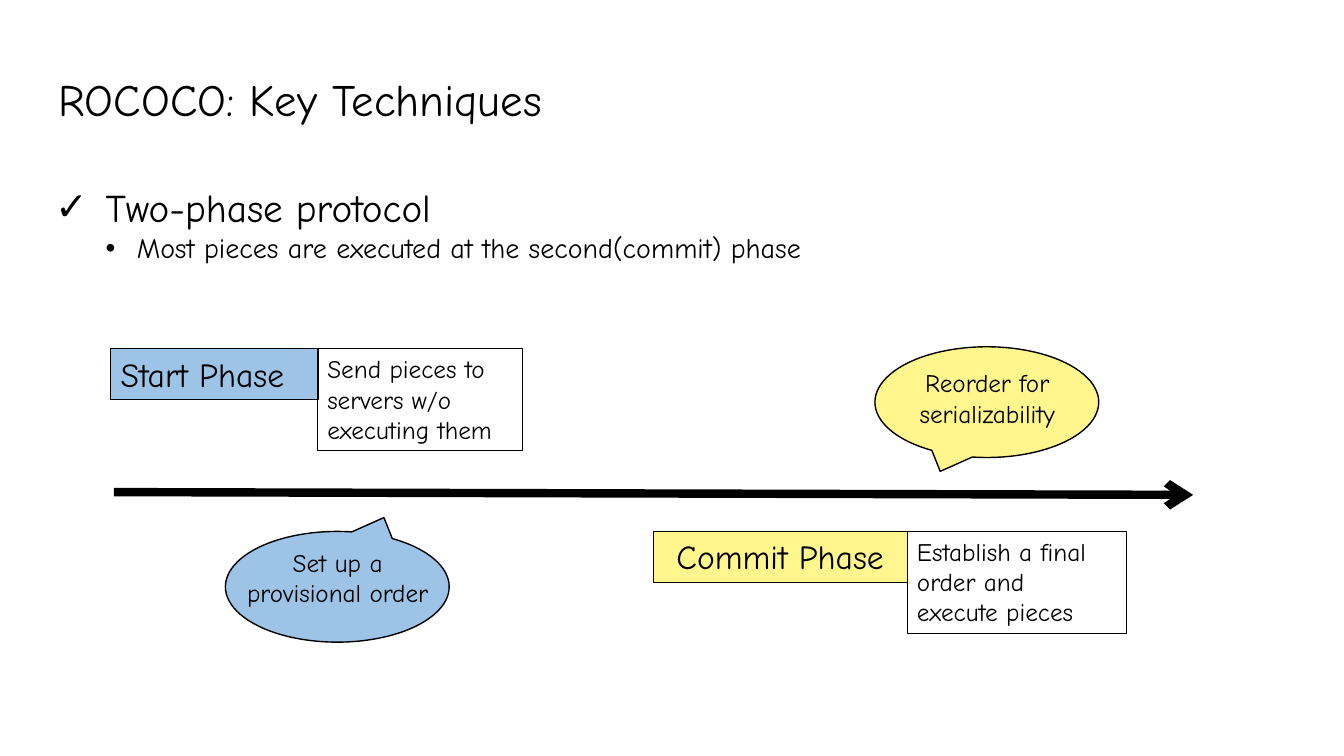
"""Build the ROCOCO key techniques slide with its two-phase timeline."""
from lxml.etree import SubElement
from pptx import Presentation
from pptx.dml.color import RGBColor
from pptx.enum.shapes import MSO_CONNECTOR, MSO_SHAPE
from pptx.enum.text import MSO_ANCHOR, PP_ALIGN
from pptx.oxml.ns import qn
from pptx.util import Cm, Pt

COLORS = {"ink": "000000", "start": "9DC3E6", "commit": "FFF68D"}
FONT = "Comic Neue"


def write(frame, text, size=18, align=PP_ALIGN.LEFT, spacing=None, bullets=None):
    """Fill a frame with one paragraph per line; bullets hold (mark, size, margin, hang)."""
    frame.word_wrap = True
    frame.vertical_anchor = MSO_ANCHOR.TOP
    for index, line in enumerate(text.split("\n")):
        paragraph = frame.paragraphs[0] if index == 0 else frame.add_paragraph()
        paragraph.alignment = align
        if spacing:
            paragraph.line_spacing = spacing
        if bullets:
            mark, size, margin, hang = bullets[index]
            paragraph.level = index
            properties = paragraph._p.get_or_add_pPr()
            properties.set("marL", str(Cm(margin)))
            properties.set("indent", str(-Cm(hang)))
            SubElement(properties, qn("a:buFont")).set("typeface", "Arial")
            SubElement(properties, qn("a:buChar")).set("char", mark)
        run = paragraph.add_run()
        run.text = line
        run.font.name = FONT
        run.font.size = Pt(size)
        run.font.color.rgb = RGBColor.from_string(COLORS["ink"])


def outline(shape, fill, weight):
    """Give a shape its fill, black line and no shadow."""
    shape.shadow.inherit = False
    if fill:
        shape.fill.solid()
        shape.fill.fore_color.rgb = RGBColor.from_string(COLORS[fill])
    else:
        shape.fill.background()
    shape.line.color.rgb = RGBColor.from_string(COLORS["ink"])
    shape.line.width = Pt(weight)


deck = Presentation()
deck.slide_width, deck.slide_height = Cm(33.87), Cm(19.05)
slide = deck.slides.add_slide(deck.slide_layouts[6])

title = slide.shapes.add_textbox(Cm(1.14), Cm(1.63), Cm(22.71), Cm(2.03)).text_frame
title.margin_left = title.margin_right = title.margin_top = title.margin_bottom = Cm(0.33)
write(title, "ROCOCO: Key Techniques", size=32, spacing=0.9)

protocol = slide.shapes.add_textbox(Cm(1.14), Cm(4.5), Cm(24.97), Cm(2.31)).text_frame
write(protocol, "Two-phase protocol\nMost pieces are executed at the second(commit) phase",
      bullets=[("✓", 28, 1.27, 1.27), ("•", 20, 2.06, 0.79)])

timeline = slide.shapes.add_connector(
    MSO_CONNECTOR.STRAIGHT, Cm(2.87), Cm(12.4), Cm(30.07), Cm(12.47))
timeline.line.color.rgb = RGBColor.from_string(COLORS["ink"])
timeline.line.width = Pt(6)
SubElement(timeline.line._get_or_add_ln(), qn("a:tailEnd")).set("type", "arrow")
SubElement(timeline._element.spPr, qn("a:effectLst"))

phases = [
    ("Commit Phase", 16.46, 13.39, 6.4, 1.28, "commit", 24, PP_ALIGN.CENTER),
    ("Start Phase", 2.79, 8.79, 5.23, 1.28, "start", 24, PP_ALIGN.LEFT),
    ("Send pieces to\nservers w/o\nexecuting them", 8, 8.79, 5.16, 2.57, None, 18, PP_ALIGN.LEFT),
    ("Establish a final\norder and\nexecute pieces", 22.86, 13.39, 5.54, 2.57, None, 18, PP_ALIGN.LEFT),
]
for text, left, top, width, height, fill, size, align in phases:
    phase = slide.shapes.add_shape(
        MSO_SHAPE.RECTANGLE, Cm(left), Cm(top), Cm(width), Cm(height))
    outline(phase, fill, 0.75)
    write(phase.text_frame, text, size=size, align=align)

remarks = [
    ("Set up a\nprovisional order", 5.68, 13.39, 13.67, "start", 180),
    ("Reorder for\nserializability", 22.05, 8.74, 9.14, "commit", 0),
]
for text, left, top, label_top, fill, rotation in remarks:
    remark = slide.shapes.add_group_shape().shapes
    bubble = remark.add_shape(
        MSO_SHAPE.OVAL_CALLOUT, Cm(left), Cm(top), Cm(5.64), Cm(2.79))
    bubble.rotation = rotation
    outline(bubble, fill, 1)
    label = remark.add_textbox(Cm(left), Cm(label_top), Cm(5.66), Cm(1.8))
    write(label.text_frame, text, align=PP_ALIGN.CENTER)

deck.save("out.pptx")
